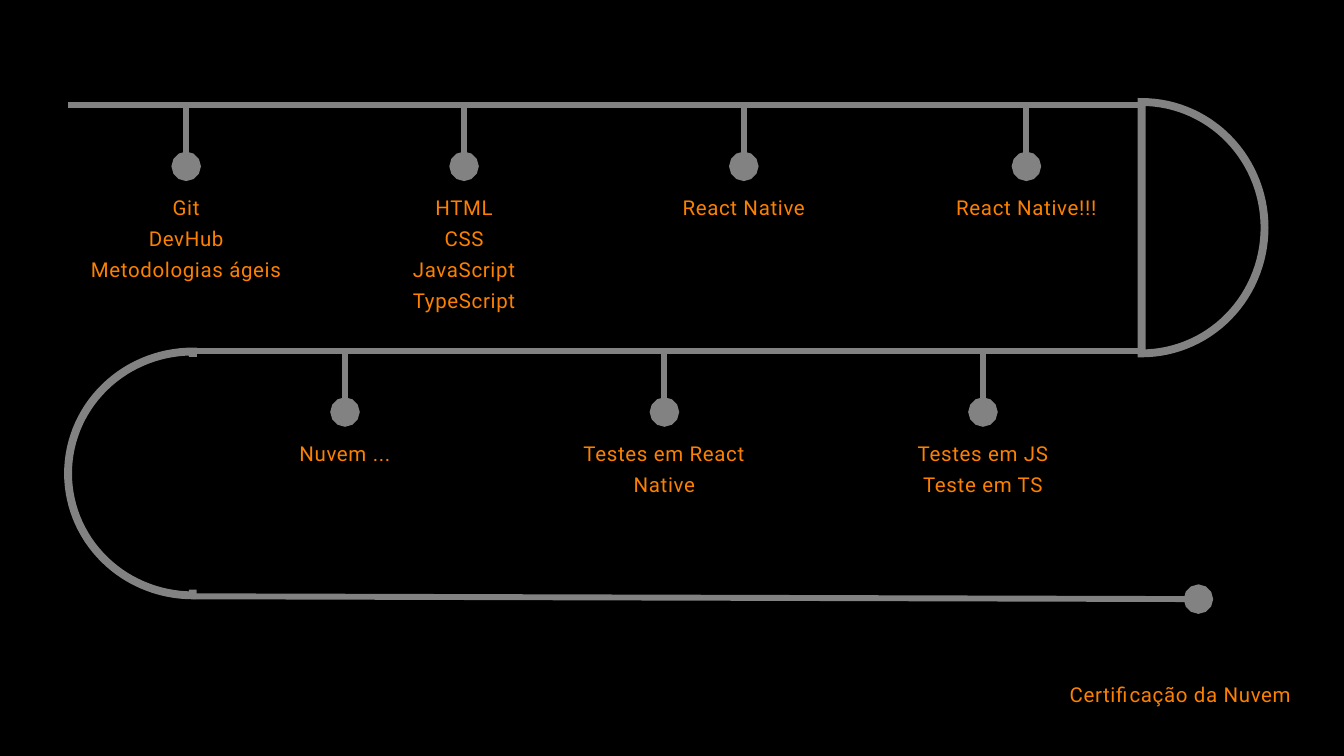
from math import cos, pi, sin

from lxml.etree import SubElement
from pptx import Presentation
from pptx.dml.color import RGBColor
from pptx.enum.shapes import MSO_CONNECTOR, MSO_SHAPE
from pptx.enum.text import MSO_AUTO_SIZE, PP_ALIGN
from pptx.oxml.ns import qn
from pptx.util import Inches, Pt

COLORS = {"background": "000000", "road": "828282", "text": "FC8001"}
TEXT_FORMAT = {"name": "Roboto", "size": Pt(15.6)}
LINE_HEIGHT = 23.5
ROAD_WIDTH, TURN_WIDTH = 4.5, 6
STEM_HEIGHT, LABEL_DROP = 0.65, 0.89

# Each milestone: centre, label width, label lines
TOP_MILESTONES = [
    (1.97, 2.45, ["Git", "DevHub", "Metodologias ágeis"]),
    (4.91, 2.45, ["HTML", "CSS", "JavaScript", "TypeScript"]),
    (7.87, 2.45, ["React Native"]),
    (10.86, 2.45, ["React Native!!!"]),
]
MIDDLE_MILESTONES = [
    (3.65, 1.8, ["Nuvem ..."]),
    (7.03, 1.8, ["Testes em React Native"]),
    (10.4, 2.45, ["Testes em JS", "Teste em TS"]),
]


def color(name):
    return RGBColor.from_string(COLORS[name])


def add_road(slide, start, end, dot=False):
    """Draw a straight stretch of road, with a round end if dot is set."""
    road = slide.shapes.add_connector(
        MSO_CONNECTOR.STRAIGHT, *(Inches(value) for value in (*start, *end)))
    road.line.color.rgb = color("road")
    road.line.width = Pt(ROAD_WIDTH)
    if dot:
        SubElement(road.line._get_or_add_ln(), qn("a:tailEnd"),
                   type="oval", w="lg", len="lg")
    SubElement(road._element.spPr, qn("a:effectLst"))


def add_turn(slide, flat_x, top, radius_x, height):
    """Draw a closed half ellipse; a negative radius_x turns it to the left."""
    radius_y, steps = height / 2, 60
    angles = [pi * step / steps - pi / 2 for step in range(steps + 1)]
    points = [(Inches(flat_x + radius_x * cos(angle)),
               Inches(top + radius_y * (1 + sin(angle)))) for angle in angles]
    builder = slide.shapes.build_freeform(*points[0])
    builder.add_line_segments(points[1:], close=True)
    turn = builder.convert_to_shape()
    turn.shadow.inherit = False
    turn.fill.background()
    turn.line.color.rgb = color("road")
    turn.line.width = Pt(TURN_WIDTH)
    SubElement(turn.line._get_or_add_ln(), qn("a:miter"), lim="800000")


def add_cover(slide, left, top, width, height):
    """Hide the straight side of a turn behind the background colour."""
    cover = slide.shapes.add_shape(
        MSO_SHAPE.RECTANGLE, *(Inches(value) for value in (left, top, width, height)))
    cover.shadow.inherit = False
    cover.fill.solid()
    cover.fill.fore_color.rgb = color("background")
    cover.line.fill.background()


def add_label(slide, left, top, width, lines):
    height = Pt(LINE_HEIGHT * len(lines))
    label = slide.shapes.add_textbox(Inches(left), Inches(top), Inches(width), height)
    frame = label.text_frame
    frame.word_wrap = True
    frame.auto_size = MSO_AUTO_SIZE.SHAPE_TO_FIT_TEXT
    for side in ("left", "top", "right", "bottom"):
        setattr(frame, f"margin_{side}", 0)
    for index, line in enumerate(lines):
        paragraph = frame.add_paragraph() if index else frame.paragraphs[0]
        paragraph.alignment = PP_ALIGN.CENTER
        paragraph.line_spacing = Pt(LINE_HEIGHT)
        run = paragraph.add_run()
        run.text = line
        for name, value in TEXT_FORMAT.items():
            setattr(run.font, name, value)
        run.font.color.rgb = color("text")
        run._r.get_or_add_rPr().set("spc", "50")


def add_milestones(slide, road_y, milestones):
    for center, width, lines in milestones:
        add_road(slide, (center, road_y), (center, road_y + STEM_HEIGHT), dot=True)
        add_label(slide, center - width / 2, road_y + LABEL_DROP, width, lines)


def add_roadmap(slide, left, top):
    """Draw the winding road and its milestones from its top left corner."""
    right, turn_left = left + 11.36, left + 1.32
    middle, bottom = top + 2.6, top + 5.19
    add_turn(slide, right, top - 0.03, 1.3, 2.66)
    add_road(slide, (left, top), (right, top))
    add_turn(slide, turn_left, middle + 0.01, -1.32, 2.58)
    add_cover(slide, turn_left - 0.07, middle + 0.07, 0.89, 2.46)
    add_road(slide, (turn_left, bottom + 0.01), (left + 11.96, bottom + 0.04), dot=True)
    add_road(slide, (turn_left, middle), (right, middle))
    add_milestones(slide, top, TOP_MILESTONES)
    add_milestones(slide, middle, MIDDLE_MILESTONES)


def main():
    presentation = Presentation()
    presentation.slide_width, presentation.slide_height = Inches(14.22), Inches(8)
    slide = presentation.slides.add_slide(presentation.slide_layouts[6])
    slide.background.fill.solid()
    slide.background.fill.fore_color.rgb = color("background")
    add_roadmap(slide, 0.72, 1.11)
    add_label(slide, 11.06, 7.15, 2.86, ["Certificação da Nuvem"])
    presentation.save("out.pptx")


if __name__ == "__main__":
    main()
